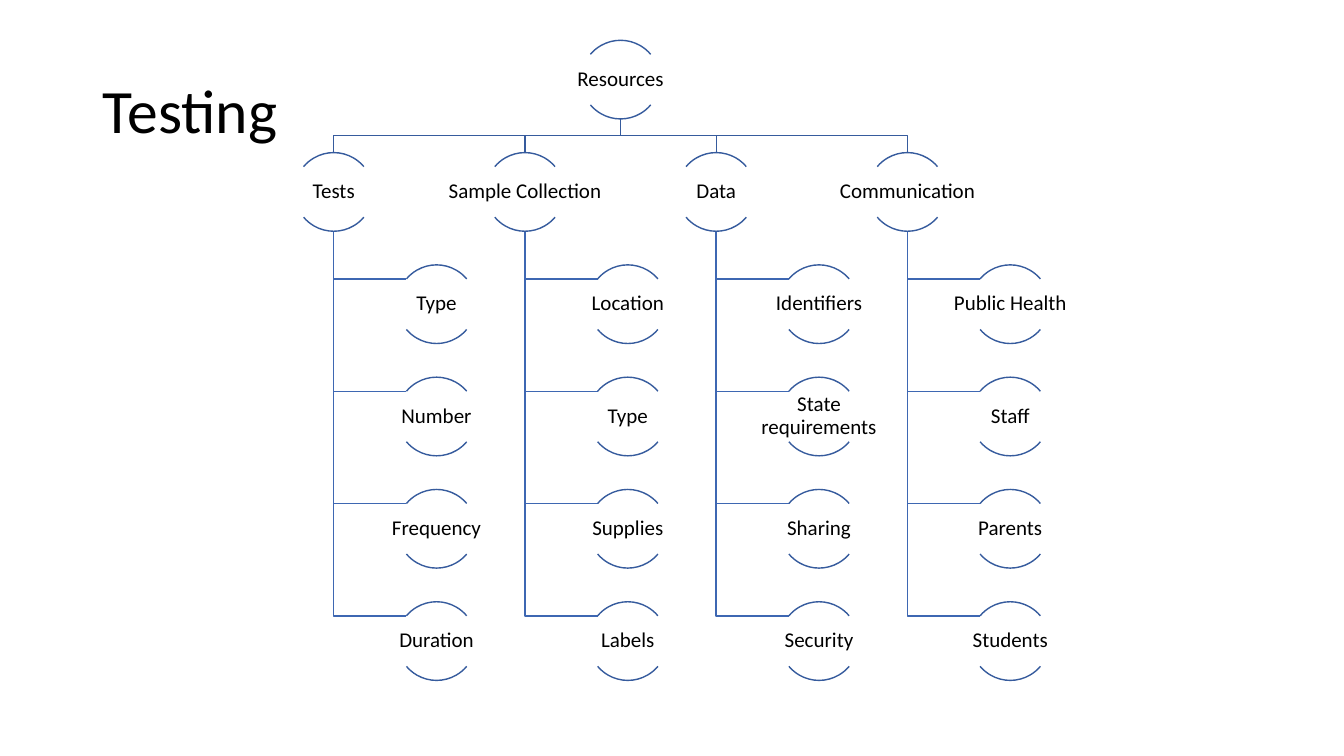
"""Build the Testing slide: a resource hierarchy of four branches."""
from pptx import Presentation
from pptx.dml.color import RGBColor
from pptx.enum import shapes, text
from pptx.util import Inches, Pt

COLORS = {"text": "000000", "arc": "365B9D", "trunk": "365B9D", "branch": "3E67B2"}
FONT = "Calibri"
BRANCHES = {
    "Tests": ["Type", "Number", "Frequency", "Duration"],
    "Sample Collection": ["Location", "Type", "Supplies", "Labels"],
    "Data": ["Identifiers", "State requirements", "Sharing", "Security"],
    "Communication": ["Public Health", "Staff", "Parents", "Students"],
}
TOP, ROW_PITCH = 0.4, 5.57 / 5
FIRST_X, COLUMN_PITCH = 3.31, 5.69 / 3
ROOT_X = FIRST_X + 1.5 * COLUMN_PITCH
DIAMETER, LEAF_INDENT = 0.78, 1.02
LABEL_WIDTH, LABEL_HEIGHT = 1.57, 0.5
ARC_ANGLES = [(132, 192), (24, 84)]

prs = Presentation()
prs.slide_width, prs.slide_height = Inches(13.33), Inches(7.5)
slide = prs.slides.add_slide(prs.slide_layouts[5])


def write(frame, words, size, align, margins):
    frame.word_wrap = True
    frame.auto_size = text.MSO_AUTO_SIZE.NONE
    frame.vertical_anchor = text.MSO_ANCHOR.MIDDLE
    frame.margin_left = frame.margin_right = Inches(margins[0])
    frame.margin_top = frame.margin_bottom = Inches(margins[1])
    paragraph = frame.paragraphs[0]
    paragraph.alignment = align
    paragraph.line_spacing = 0.9
    run = paragraph.add_run()
    run.text = words
    run.font.name = FONT
    run.font.size = Pt(size)
    run.font.color.rgb = RGBColor.from_string(COLORS["text"])


def outline(shape, color):
    shape.shadow.inherit = False
    shape.fill.background()
    shape.line.color.rgb = RGBColor.from_string(COLORS[color])
    shape.line.width = Pt(1)


title = slide.shapes.title
title.left, title.top = Inches(0.92), Inches(0.4)
title.width, title.height = Inches(11.5), Inches(1.45)
write(title.text_frame, "Testing", 44, text.PP_ALIGN.LEFT, (0.1, 0.05))

nodes = [("Resources", ROOT_X, TOP)]
links = []
root_bottom, branch_top = TOP + DIAMETER, TOP + ROW_PITCH
middle = (root_bottom + branch_top) / 2
for column, (branch, leaves) in enumerate(BRANCHES.items()):
    x = FIRST_X + column * COLUMN_PITCH
    nodes.append((branch, x, branch_top))
    links.append(("trunk", [(ROOT_X, root_bottom), (ROOT_X, middle),
                            (x, middle), (x, branch_top)]))
    for row, leaf in enumerate(leaves, start=2):
        y = TOP + row * ROW_PITCH
        nodes.append((leaf, x + LEAF_INDENT, y))
        links.append(("branch", [(x, branch_top + DIAMETER), (x, y + 0.14),
                                 (x + 0.72, y + 0.14)]))

diagram = slide.shapes.add_group_shape().shapes
for color, route in links:
    start, *bends = [(Inches(x), Inches(y)) for x, y in route]
    link = diagram.build_freeform(*start)
    link.add_line_segments(bends, close=False)
    outline(link.convert_to_shape(), color)

for words, x, y in nodes:
    for angles in ARC_ANGLES:
        arc = diagram.add_shape(shapes.MSO_SHAPE.ARC, Inches(x - DIAMETER / 2), Inches(y),
                                Inches(DIAMETER), Inches(DIAMETER))
        arc.adjustments[0], arc.adjustments[1] = angles
        outline(arc, "arc")
    label = diagram.add_textbox(Inches(x - LABEL_WIDTH / 2),
                                Inches(y + (DIAMETER - LABEL_HEIGHT) / 2),
                                Inches(LABEL_WIDTH), Inches(LABEL_HEIGHT))
    write(label.text_frame, words, 15, text.PP_ALIGN.CENTER, (0.01, 0.01))

prs.save("out.pptx")
